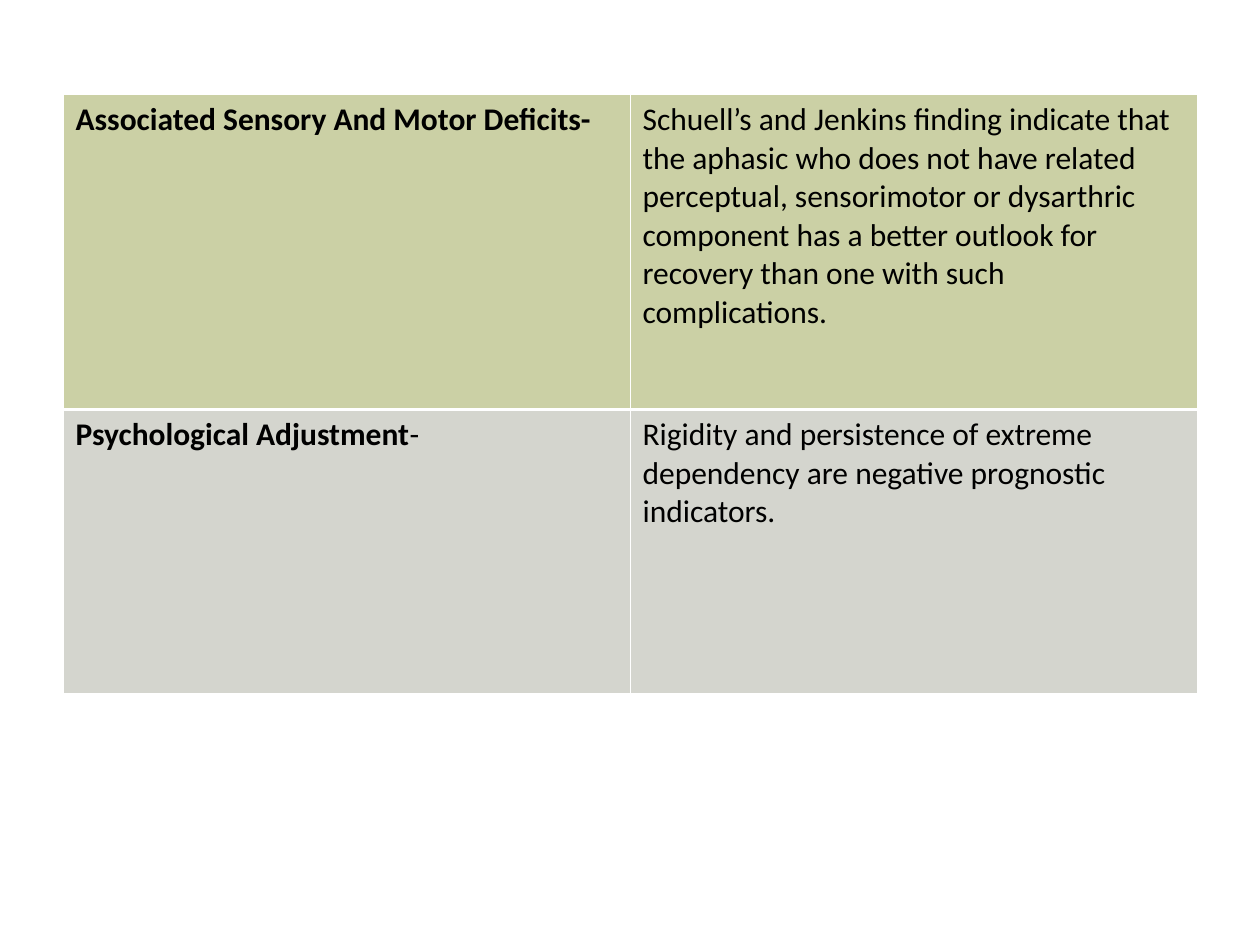
"""Build a slide with a two-row table of prognostic factors for aphasia."""
from dataclasses import dataclass

import lxml.etree
import pptx
import pptx.dml.color
import pptx.oxml.ns
import pptx.util

Inches = pptx.util.Inches
THIN, THICK = 0.45, 1.47


@dataclass(frozen=True)
class TextRun:
    text: str
    bold: bool = False


@dataclass(frozen=True)
class FactorRow:
    height: float
    fill: str
    top_border: float
    bottom_border: float
    cells: tuple[tuple[TextRun, ...], ...]


FACTORS = (
    FactorRow(2.5, "CBD0A5", THIN, THICK, (
        (TextRun("Associated Sensory And Motor Deficits-", True),),
        (TextRun("Schuell’s and Jenkins finding indicate that the aphasic who does not "
                 "have related perceptual, sensorimotor or dysarthric component has a "
                 "better outlook for recovery than one with such complications."),),
    )),
    FactorRow(2.25, "D4D5CE", THICK, THIN, (
        (TextRun("Psychological Adjustment", True), TextRun("-")),
        (TextRun("Rigidity and persistence of extreme dependency are negative "
                 "prognostic indicators."),),
    )),
)


def color(value: str) -> pptx.dml.color.RGBColor:
    return pptx.dml.color.RGBColor.from_string(value)


def set_borders(cell: pptx.table._Cell, top: float, bottom: float) -> None:
    properties = cell._tc.get_or_add_tcPr()
    qualified = pptx.oxml.ns.qn
    widths = {"a:lnL": THIN, "a:lnR": THIN, "a:lnT": top, "a:lnB": bottom}
    for position, (side, width) in enumerate(widths.items()):
        line = lxml.etree.Element(qualified(side), w=str(pptx.util.Pt(width)))
        fill = lxml.etree.SubElement(line, qualified("a:solidFill"))
        lxml.etree.SubElement(fill, qualified("a:srgbClr"), val="FFFFFF")
        properties.insert(position, line)


def fill_cell(cell: pptx.table._Cell, factor: FactorRow, runs: tuple[TextRun, ...]) -> None:
    cell.fill.solid()
    cell.fill.fore_color.rgb = color(factor.fill)
    set_borders(cell, factor.top_border, factor.bottom_border)
    paragraph = cell.text_frame.paragraphs[0]
    for item in runs:
        run = paragraph.add_run()
        run.text = item.text
        run.font.name = "Calibri"
        run.font.size = pptx.util.Pt(18)
        run.font.bold = item.bold
        run.font.color.rgb = color("000000")


def add_factor_table(slide: pptx.slide.Slide, factors: tuple[FactorRow, ...]) -> None:
    height = sum(factor.height for factor in factors)
    table = slide.shapes.add_table(
        len(factors), 2, Inches(0.5), Inches(0.75), Inches(9), Inches(height)
    ).table
    table.first_row = False
    table.horz_banding = False
    for row, factor in zip(table.rows, factors):
        row.height = Inches(factor.height)
        for cell, runs in zip(row.cells, factor.cells):
            fill_cell(cell, factor, runs)


def main() -> None:
    presentation = pptx.Presentation()
    presentation.slide_width = Inches(10)
    presentation.slide_height = Inches(7.5)
    slide = presentation.slides.add_slide(presentation.slide_layouts[6])
    add_factor_table(slide, FACTORS)
    presentation.save("out.pptx")


if __name__ == "__main__":
    main()
